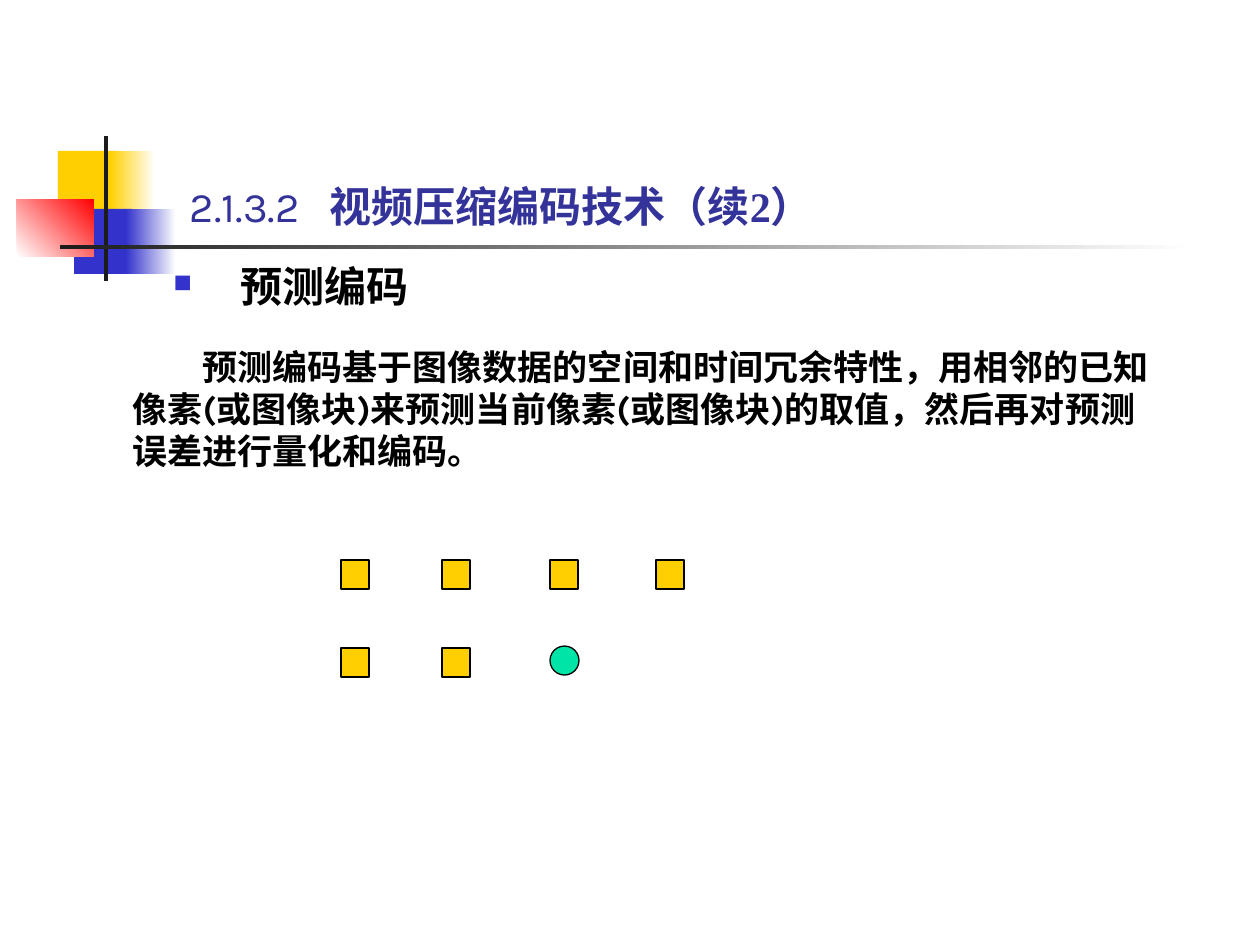
from pptx import Presentation
from pptx.dml.color import RGBColor
from pptx.enum.shapes import MSO_SHAPE as Shape
from pptx.enum.text import MSO_ANCHOR as Anchor, PP_ALIGN as Align
from pptx.oxml.ns import qn
from pptx.util import Emu, Pt
from lxml.etree import SubElement

PX = 914400 / 126
YELLOW = RGBColor(0xFF, 0xCF, 0x01)
BLUE = RGBColor(0x33, 0x33, 0xCC)
NAVY = RGBColor(0x33, 0x33, 0x99)
RED = RGBColor(0xFF, 0x00, 0x00)
DARK = RGBColor(0x1C, 0x1C, 0x1C)
GREEN = RGBColor(0x00, 0xE4, 0xA8)
BLACK = RGBColor(0x00, 0x00, 0x00)
WHITE = RGBColor(0xFF, 0xFF, 0xFF)
SERIF, SANS = "Times New Roman", "Karla"


def px(length):
    """Turn pixels into EMU."""
    return Emu(round(length * PX))


def add_block(page, box, start, end=None, angle=0, kind=Shape.RECTANGLE, outline=None):
    """Draw a shape with a solid fill, or a gradient when an end colour is given."""
    shape = page.shapes.add_shape(kind, *map(px, box))
    shape.shadow.inherit = False
    if end is None:
        shape.fill.solid()
        shape.fill.fore_color.rgb = start
    else:
        shape.fill.gradient()
        shape.fill.gradient_angle = angle
        for stop, colour in zip(shape.fill.gradient_stops, (start, end)):
            stop.color.rgb = colour
    if outline is None:
        shape.line.fill.background()
    else:
        shape.line.color.rgb = outline
        shape.line.width = Pt(0.75)
    return shape


def add_text(page, box, runs, size, colour, anchor=Anchor.TOP):
    """Write one paragraph of (text, font, bold) runs and return its frame and paragraph."""
    frame = page.shapes.add_textbox(*map(px, box)).text_frame
    frame.word_wrap = True
    frame.vertical_anchor = anchor
    para = frame.paragraphs[0]
    for text, name, bold in runs:
        span = para.add_run()
        span.text = text
        span.font.name = name
        span.font.bold = bold
    return frame, para, (Pt(size), colour)


def style(para, look):
    """Give a paragraph its size and colour."""
    para.font.size, para.font.color.rgb = look


def add_ornament(page, left, top):
    """Draw the overlapping squares, the cross and the fading rule."""
    parts = [
        (41, 15, 60, 65, YELLOW, None, 0),
        (93, 15, 45, 65, YELLOW, WHITE, 0),
        (57, 73, 58, 65, BLUE, None, 0),
        (109, 73, 50, 65, BLUE, WHITE, 0),
        (0, 63, 77, 58, WHITE, RED, 45),
        (87, 0, 4, 145, DARK, None, 0),
        (43, 109, 1134, 4, DARK, WHITE, 0),
    ]
    for x, y, width, height, start, end, angle in parts:
        add_block(page, (left + x, top + y, width, height), start, end, angle)


def add_title(page, box):
    """Write the section number and title, aligned by a tab stop."""
    runs = [("2.1.3.2\t", SANS, False), ("视频压缩编码技术（续2）", SERIF, True)]
    frame, para, look = add_text(page, box, runs, 24, NAVY, Anchor.BOTTOM)
    frame.margin_left, frame.margin_bottom = px(31), px(12)
    tabs = SubElement(para._p.get_or_add_pPr(), qn("a:tabLst"))
    SubElement(tabs, qn("a:tab"), pos=str(px(140)), algn="l")
    style(para, look)


def add_heading(page, box):
    """Write the heading with its square bullet."""
    frame, para, look = add_text(page, box, [("预测编码", SERIF, True)], 24, BLACK)
    para.alignment = Align.JUSTIFY
    para.line_spacing = 0.9
    props = para._p.get_or_add_pPr()
    props.set("marL", str(px(67)))
    props.set("indent", str(-px(67)))
    colour = SubElement(props, qn("a:buClr"))
    SubElement(colour, qn("a:srgbClr"), val=str(BLUE))
    SubElement(props, qn("a:buSzPct"), val="60000")
    SubElement(props, qn("a:buChar"), char="■")
    style(para, look)


def add_explanation(page, box):
    """Write the paragraph with an indented first line."""
    pieces = ["预测编码基于图像数据的空间和时间冗余特性，用相邻的已知像素", "(", "或图像块", ")",
              "来预测当前像素", "(", "或图像块", ")", "的取值，然后再对预测误差进行量化和编码。"]
    runs = [(piece, SANS if piece in "()" else SERIF, True) for piece in pieces]
    frame, para, look = add_text(page, box, runs, 20, BLACK)
    para._p.get_or_add_pPr().set("indent", str(px(70)))
    style(para, look)


def add_pixel_grid(page, left, top):
    """Draw the known neighbours as squares and the predicted pixel as a circle."""
    columns = (0, 101, 209, 315)
    for row, count in enumerate((4, 2)):
        for x in columns[:count]:
            box = (left + x, top + 88 * row, 28, 29)
            add_block(page, box, YELLOW, outline=BLACK)
    circle = (left + columns[2], top + 86, 29, 29)
    add_block(page, circle, GREEN, kind=Shape.OVAL, outline=BLACK)


def main():
    """Build the slide and save it."""
    deck = Presentation()
    deck.slide_width, deck.slide_height = px(1260), px(945)
    page = deck.slides.add_slide(deck.slide_layouts[6])
    add_ornament(page, 17, 136)
    add_title(page, (159, 147, 727, 96))
    add_heading(page, (161, 260, 375, 62))
    add_explanation(page, (120, 339, 1052, 139))
    add_pixel_grid(page, 341, 560)
    deck.save("out.pptx")


if __name__ == "__main__":
    main()
